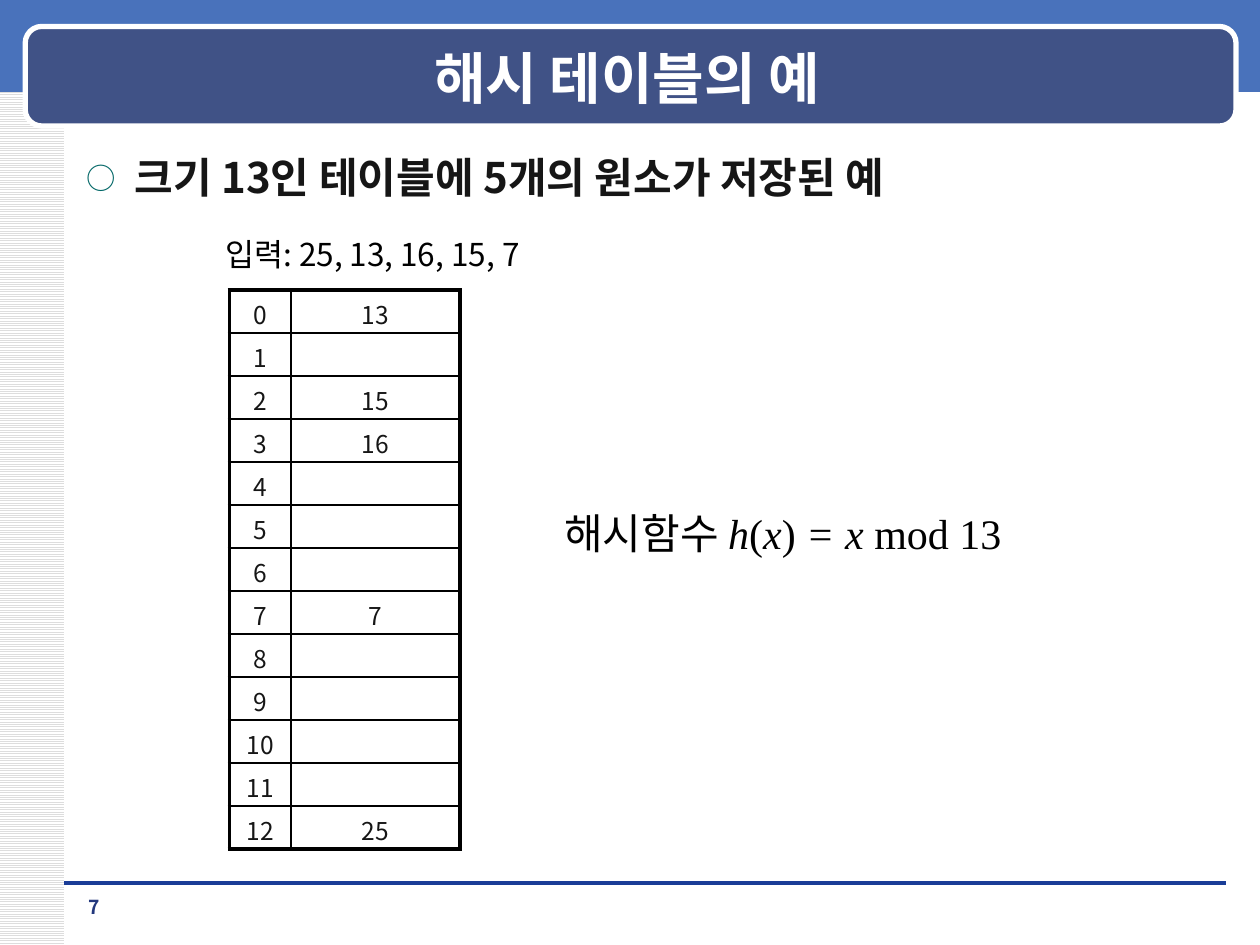
from lxml.etree import SubElement
from pptx import Presentation
from pptx.dml.color import RGBColor
from pptx.enum.dml import MSO_PATTERN
from pptx.enum.shapes import MSO_CONNECTOR, MSO_SHAPE
from pptx.enum.text import MSO_ANCHOR, MSO_AUTO_SIZE, PP_ALIGN
from pptx.oxml.ns import qn
from pptx.util import Inches, Pt

WHITE = RGBColor(0xFF, 0xFF, 0xFF)
BLACK = RGBColor(0, 0, 0)
INK = RGBColor(0x16, 0x16, 0x16)
GRAY = RGBColor(0xDD, 0xDD, 0xDD)
BLUE = RGBColor(0x49, 0x72, 0xBB)
NAVY = RGBColor(0x40, 0x52, 0x86)
RULE = RGBColor(0x1A, 0x3D, 0x97)
PAGE = RGBColor(0x23, 0x38, 0x7D)
TEAL = RGBColor(0x00, 0x66, 0x66)
SANS = "Noto Sans CJK KR"
SERIF = "Times New Roman"
SIZE = 13
KEYS = [25, 13, 16, 15, 7]


class Board:
    def __init__(self, deck):
        self.slide = deck.slides.add_slide(deck.slide_layouts[6])
        self.shapes = self.slide.shapes

    def style(self, run, size, color, bold=False, italic=False, face=SANS):
        font = run.font
        font.name, font.size = face, Pt(size)
        font.bold, font.italic = bold, italic
        font.color.rgb = color
        SubElement(run._r.get_or_add_rPr(), qn("a:ea"), typeface=face)

    def panel(self, kind, box, color, edge=None):
        shape = self.shapes.add_shape(kind, *map(Inches, box))
        shape.shadow.inherit = False
        shape.fill.solid()
        shape.fill.fore_color.rgb = color
        if edge:
            shape.line.color.rgb = edge
            shape.line.width = Pt(3)
        else:
            shape.line.fill.background()
        return shape

    def stripe(self, box):
        fill = self.panel(MSO_SHAPE.RECTANGLE, box, WHITE).fill
        fill.patterned()
        fill.pattern = MSO_PATTERN.LIGHT_HORIZONTAL
        fill.fore_color.rgb = GRAY
        fill.back_color.rgb = WHITE

    def rule(self, left, right, top):
        ends = map(Inches, (left, top, right, top))
        line = self.shapes.add_connector(MSO_CONNECTOR.STRAIGHT, *ends)
        line.line.color.rgb = RULE
        line.line.width = Pt(0)
        SubElement(line._element.spPr, qn("a:effectLst"))

    def text(self, box, words, size, color, bold=False, mid=False, grow=False):
        frame = self.shapes.add_textbox(*map(Inches, box)).text_frame
        frame.word_wrap = not grow
        if grow:
            frame.auto_size = MSO_AUTO_SIZE.SHAPE_TO_FIT_TEXT
        para = frame.paragraphs[0]
        para.text = words
        if mid:
            frame.vertical_anchor = MSO_ANCHOR.MIDDLE
            para.alignment = PP_ALIGN.CENTER
        self.style(para.runs[0], size, color, bold)
        return para

    def bullet(self, para, indent):
        props = para._p.get_or_add_pPr()
        props.set("marL", str(Inches(indent)))
        props.set("indent", str(-Inches(indent)))
        color = SubElement(props, qn("a:buClr"))
        SubElement(color, qn("a:srgbClr"), val=str(TEAL))
        SubElement(props, qn("a:buSzPct"), val="70000")
        SubElement(props, qn("a:buFont"), typeface=SANS)
        SubElement(props, qn("a:buChar"), char="○")

    def border(self, cell, widths):
        props = cell._tc.get_or_add_tcPr()
        for index, (side, width) in enumerate(widths.items()):
            line = props.makeelement(qn(f"a:ln{side}"), w=str(Pt(width)))
            fill = SubElement(line, qn("a:solidFill"))
            SubElement(fill, qn("a:srgbClr"), val=str(BLACK))
            props.insert(index, line)

    def cell(self, cell, words):
        cell.margin_top, cell.margin_bottom = Inches(0.05), 0
        cell.fill.background()
        para = cell.text_frame.paragraphs[0]
        para.text = words
        para.alignment = PP_ALIGN.CENTER
        for run in para.runs:
            self.style(run, 14, INK)
        if not words:
            SubElement(para._p, qn("a:endParaRPr"), sz="1400")

    def table(self, box, rows, widths, height):
        count, wide = len(rows), len(widths)
        frame = self.shapes.add_table(count, wide, *map(Inches, box))
        table = frame.table
        table.first_row = table.horz_banding = False
        for col, width in zip(table.columns, widths):
            col.width = Inches(width)
        for i, row in enumerate(rows):
            table.rows[i].height = Inches(height)
            for j, words in enumerate(row):
                cell = table.cell(i, j)
                self.cell(cell, words)
                outer = {"L": j == 0, "R": j == wide - 1,
                         "T": i == 0, "B": i == count - 1}
                self.border(cell, {side: 2.25 if out else 1
                                   for side, out in outer.items()})


def main():
    deck = Presentation()
    deck.slide_width, deck.slide_height = Inches(10), Inches(7.5)
    board = Board(deck)

    board.stripe((0, 0, 0.51, 7.5))
    board.panel(MSO_SHAPE.RECTANGLE, (0, -0.03, 10, 0.76), BLUE)
    board.rule(0.51, 9.73, 7.01)
    board.panel(MSO_SHAPE.ROUNDED_RECTANGLE, (0.2, 0.21, 9.61, 0.79),
                NAVY, WHITE)
    board.text((0.71, 0.3, 8.54, 0.62), "해시 테이블의 예", 32, WHITE,
               bold=True, mid=True)

    point = board.text((0.59, 1.15, 8.9, 5.75),
                       "크기 13인 테이블에 5개의 원소가 저장된 예",
                       24, INK, bold=True)
    board.bullet(point, 0.38)
    board.text((0.51, 7.06, 0.47, 0.27), "7", 11, PAGE, bold=True, mid=True)

    keys = ", ".join(map(str, KEYS))
    board.text((1.69, 1.82, 2.68, 0.4), f"입력: {keys}", 18, BLACK, grow=True)

    slots = {key % SIZE: str(key) for key in KEYS}
    rows = [(str(i), slots.get(i, "")) for i in range(SIZE)]
    board.table((1.82, 2.3, 1.83, 4.44), rows, (0.49, 1.34), 4.44 / SIZE)

    rule = board.text((4.38, 3.98, 3.86, 0.5), "해시함수 ", 24, BLACK,
                      grow=True)
    parts = [("h", True), ("(", False), ("x", True), (")", False),
             (" = x ", True), ("mod 13", False)]
    for words, slant in parts:
        run = rule.add_run()
        run.text = words
        board.style(run, 24, BLACK, italic=slant, face=SERIF)

    deck.save("out.pptx")


if __name__ == "__main__":
    main()
